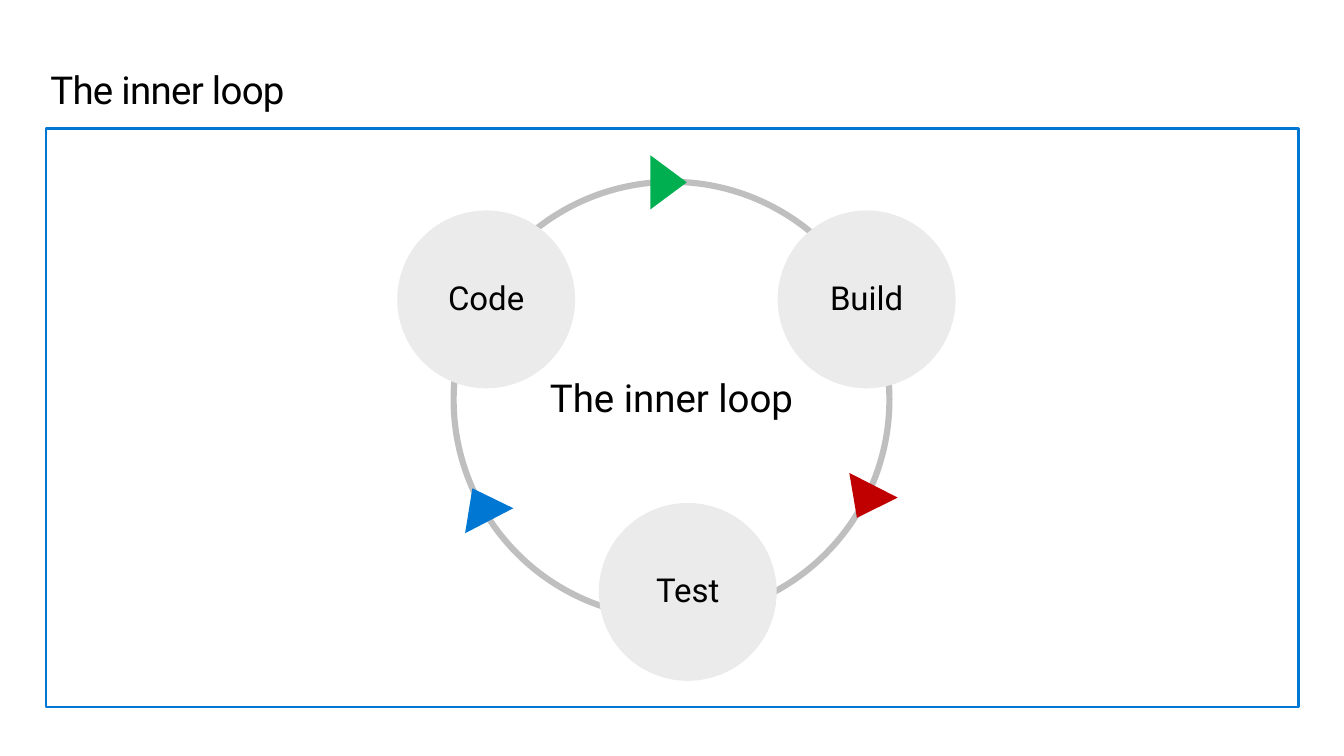
from pptx import Presentation
from pptx.dml.color import RGBColor
from pptx.enum.shapes import MSO_SHAPE
from pptx.enum.text import MSO_ANCHOR, MSO_AUTO_SIZE, PP_ALIGN
from pptx.util import Inches, Pt

RECTANGLE = MSO_SHAPE.RECTANGLE
ELLIPSE = MSO_SHAPE.OVAL
TRIANGLE = MSO_SHAPE.ISOSCELES_TRIANGLE
TOP, MIDDLE = MSO_ANCHOR.TOP, MSO_ANCHOR.MIDDLE
LEFT, CENTER = PP_ALIGN.LEFT, PP_ALIGN.CENTER
GROW = MSO_AUTO_SIZE.SHAPE_TO_FIT_TEXT
NO_RESIZE = MSO_AUTO_SIZE.NONE

COLORS = {
    "text": "000000",
    "blue": "0078D3",
    "ring": "BFBFBF",
    "stage": "EBEBEB",
    "green": "00B050",
    "red": "C00000",
}


def add_outline(shapes, kind, place, fill=None, line=None, weight=0):
    shape = shapes.add_shape(kind, *[Inches(length) for length in place])
    shape.shadow.inherit = False
    if fill:
        shape.fill.solid()
        shape.fill.fore_color.rgb = RGBColor.from_string(COLORS[fill])
    else:
        shape.fill.background()
    if line:
        shape.line.color.rgb = RGBColor.from_string(COLORS[line])
        shape.line.width = Pt(weight)
    else:
        shape.line.fill.background()
    return shape


def write_text(box, text, size, anchor, align, spacing, margins, fit):
    frame = box.text_frame
    frame.text = text
    frame_format = {
        "word_wrap": True,
        "auto_size": fit,
        "vertical_anchor": anchor,
        "margin_left": Inches(margins[0]),
        "margin_right": Inches(margins[0]),
        "margin_top": Inches(margins[1]),
        "margin_bottom": Inches(margins[1]),
    }
    for name, value in frame_format.items():
        setattr(frame, name, value)
    para = frame.paragraphs[0]
    for name, value in {"alignment": align, "line_spacing": spacing}.items():
        setattr(para, name, value)
    span = para.runs[0]
    for name, value in {"name": "Roboto", "size": Pt(size)}.items():
        setattr(span.font, name, value)
    span.font.color.rgb = RGBColor.from_string(COLORS["text"])
    return span


deck = Presentation()
deck.slide_width = Inches(13.6)
deck.slide_height = Inches(7.65)
page = deck.slides.add_slide(deck.slide_layouts[5])

title = page.shapes.title
title_place = {"left": 0.51, "top": 0.69, "width": 12.61, "height": 0.45}
for name, value in title_place.items():
    setattr(title, name, Inches(value))
title_span = write_text(title, "The inner loop", 28, TOP, LEFT, Pt(32), (0, 0), GROW)
title_span._r.get_or_add_rPr().set("spc", "-50")

add_outline(page.shapes, RECTANGLE, (0.47, 1.3, 12.67, 5.85), line="blue", weight=1.5)

cycle = page.shapes.add_group_shape().shapes
ring = add_outline(cycle, ELLIPSE, (4.59, 1.84, 4.41, 4.41), line="ring", weight=4.5)
write_text(ring, "The inner loop", 28, MIDDLE, CENTER, 0.9, (0.2, 0.16), NO_RESIZE)

stages = [
    ("Code", 4.02, 2.13, "green", 6.49, 1.66, 90),
    ("Build", 7.87, 2.13, "red", 8.48, 4.89, 207),
    ("Test", 6.06, 5.09, "blue", 4.59, 4.92, 332.6),
]
for label, left, top, color, arrow_left, arrow_top, angle in stages:
    stage = add_outline(cycle, ELLIPSE, (left, top, 1.8, 1.8), fill="stage")
    write_text(stage, label, 24, MIDDLE, CENTER, 0.9, (0.2, 0.16), NO_RESIZE)
    arrow = add_outline(cycle, TRIANGLE, (arrow_left, arrow_top, 0.55, 0.37), fill=color)
    arrow.rotation = angle

deck.save("out.pptx")
